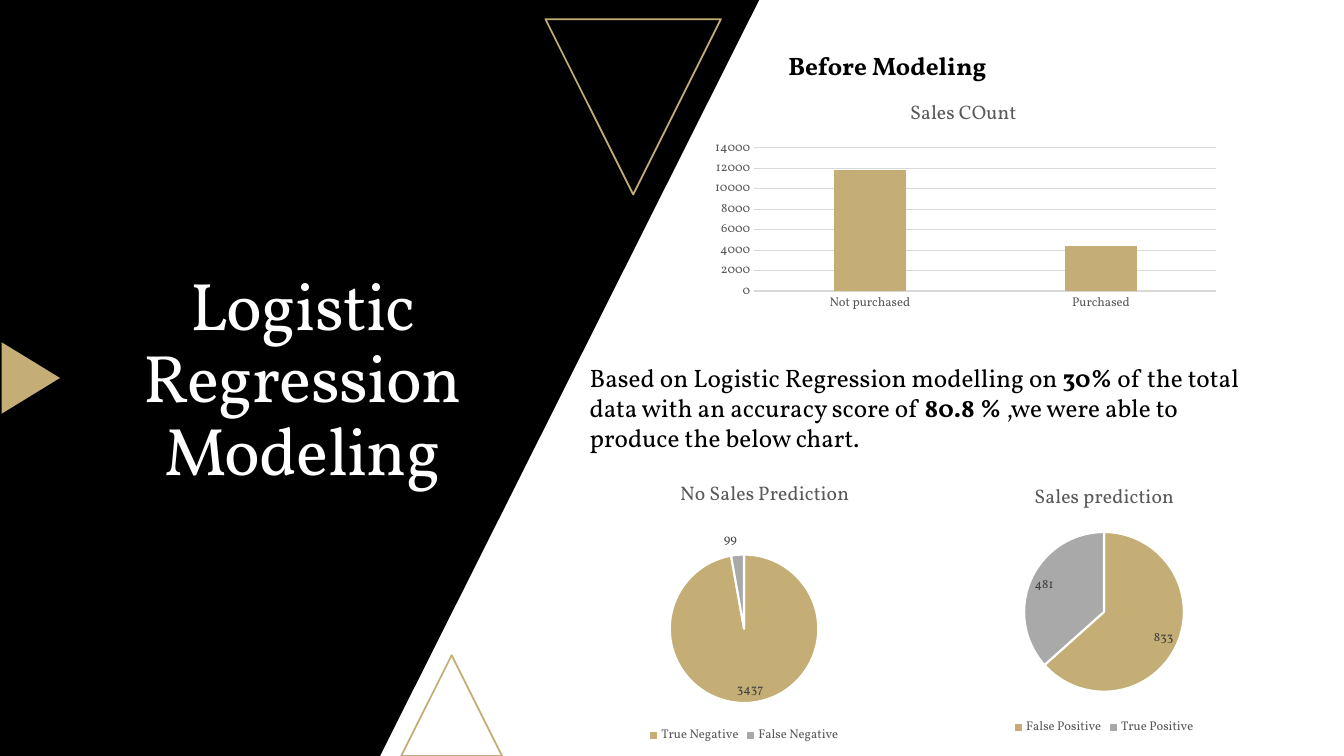
from lxml import etree
from pptx import Presentation
from pptx.chart.data import CategoryChartData
from pptx.dml.color import RGBColor
from pptx.enum.chart import XL_CHART_TYPE, XL_LABEL_POSITION, XL_LEGEND_POSITION, XL_TICK_MARK
from pptx.enum.shapes import MSO_SHAPE
from pptx.enum.text import MSO_ANCHOR, PP_ALIGN
from pptx.oxml.ns import qn
from pptx.util import Inches, Pt

FONT = "Vollkorn"
GOLD, GREY, BLACK, WHITE = "C4AE75", "A9A9A9", "000000", "FFFFFF"
LABEL, AXIS_TEXT, RULE = "404040", "595959", "D9D9D9"


def style(font, size, colour, bold=False):
    font.name, font.size, font.bold = FONT, Pt(size), bold
    font.color.rgb = RGBColor.from_string(colour)


def set_layout(parent, position, **values):
    """Place a chart part by shares of the chart's size."""
    for old in parent.findall(qn("c:layout")):
        parent.remove(old)
    layout = etree.Element(qn("c:layout"))
    manual = etree.SubElement(layout, qn("c:manualLayout"))
    for name, value in values.items():
        etree.SubElement(manual, qn("c:" + name)).set("val", str(value))
    parent.insert(position, layout)


deck = Presentation()
deck.slide_width, deck.slide_height = Inches(13.33), Inches(7.5)
page = deck.slides.add_slide(deck.slide_layouts[5])

# Black slanted panel, in hundredths of an inch
outline = page.shapes.build_freeform(0, 0, scale=Inches(0.01))
outline.add_line_segments([(753, 0), (377, 750), (0, 750)], close=True)
panel = outline.convert_to_shape()
panel.shadow.inherit = False
panel.fill.solid()
panel.fill.fore_color.rgb = RGBColor.from_string(BLACK)
panel.line.fill.background()

# Gold triangles: left, top, width, height, rotation, filled
for *bounds, rotation, filled in [
    (3.98, 6.5, 1, 1, 0, False),
    (5.41, 0.19, 1.74, 1.74, 180, False),
    (-0.05, 3.46, 0.71, 0.58, 90, True),
]:
    triangle = page.shapes.add_shape(MSO_SHAPE.ISOSCELES_TRIANGLE, *map(Inches, bounds))
    triangle.rotation = rotation
    triangle.shadow.inherit = False
    if filled:
        triangle.fill.solid()
        triangle.fill.fore_color.rgb = RGBColor.from_string(GOLD)
        triangle.line.fill.background()
    else:
        triangle.fill.background()
        triangle.line.color.rgb = RGBColor.from_string(GOLD)
        triangle.line.width = Pt(1.25)

# Title, brought in front of the panel
title = page.shapes.title
title.left, title.top, title.width, title.height = map(Inches, (0.6, 2.14, 4.8, 3.28))
title.text_frame.text = "Logistic Regression Modeling"
title.text_frame.word_wrap = True
title.text_frame.vertical_anchor = MSO_ANCHOR.MIDDLE
para = title.text_frame.paragraphs[0]
para.alignment, para.line_spacing = PP_ALIGN.CENTER, 0.9
style(para.font, 48, WHITE)
title.element.find(".//" + qn("a:defRPr")).set("spc", "-50")
title.element.find(".//" + qn("a:r")).get_or_add_rPr().set("spc", "-50")
title.element.getparent().append(title.element)

# Heading and finding, as (text, bold) spans
for bounds, spans in [
    ((7.72, 0.45, 5, 0.4), [("Before Modeling", True)]),
    ((5.75, 3.54, 6.68, 1.01), [
        ("Based on Logistic Regression modelling on ", False),
        ("30% ", True),
        ("of the total data with an accuracy score of ", False),
        ("80.8 % ", True),
        (",we were able to produce the below chart.", False),
    ]),
]:
    box = page.shapes.add_textbox(*map(Inches, bounds))
    box.text_frame.word_wrap = True
    para = box.text_frame.paragraphs[0]
    style(para.font, 18, BLACK)
    for text, bold in spans:
        span = para.add_run()
        span.text, span.font.bold = text, bold

# Charts: kind, bounds, heading, its left and top, plot area, values
PIE, COLUMN = XL_CHART_TYPE.PIE, XL_CHART_TYPE.COLUMN_CLUSTERED
for kind, bounds, heading, heading_at, plot_at, values in [
    (PIE, (9.3, 4.64, 3.3, 2.7), "Sales prediction", (0.28, 0.04),
     (0.26, 0.23, 0.48, 0.6), {"False Positive": 833, "True Positive": 481}),
    (PIE, (5.29, 4.64, 4.18, 2.78), "No Sales Prediction", (0.34, 0.03),
     (0.32, 0.31, 0.36, 0.53), {"True Negative": 3437, "False Negative": 99}),
    (COLUMN, (6.96, 0.85, 5.21, 2.29), "Sales COunt", (0.39, 0.04),
     (0.1, 0.27, 0.88, 0.62), {"Not purchased": 11800, "Purchased": 4400}),
]:
    data = CategoryChartData()
    data.categories = list(values)
    data.add_series("Series 1", list(values.values()))
    chart = page.shapes.add_chart(kind, *map(Inches, bounds), data).chart
    style(chart.font, 10, BLACK)
    chart.has_title = True
    chart.chart_title.text_frame.text = heading
    style(chart.chart_title.text_frame.paragraphs[0].font, 14, AXIS_TEXT)
    chart.chart_title.include_in_layout = False
    left, top = heading_at
    set_layout(chart.element.find(".//" + qn("c:title")), 1,
               xMode="edge", yMode="edge", x=left, y=top)
    left, top, width, height = plot_at
    set_layout(chart.element.find(".//" + qn("c:plotArea")), 0, layoutTarget="inner",
               xMode="edge", yMode="edge", x=left, y=top, w=width, h=height)
    plot = chart.plots[0]
    series = plot.series[0]
    chart.has_legend = kind == PIE

    if kind == PIE:
        chart.legend.position = XL_LEGEND_POSITION.BOTTOM
        chart.legend.include_in_layout = False
        style(chart.legend.font, 9, AXIS_TEXT)
        for index, colour in enumerate((GOLD, GREY)):
            part = series.points[index].format
            part.fill.solid()
            part.fill.fore_color.rgb = RGBColor.from_string(colour)
            part.line.color.rgb = RGBColor.from_string(WHITE)
            part.line.width = Pt(1.5)
        labels = series.data_labels
        labels.show_value = True
        labels.position = XL_LABEL_POSITION.BEST_FIT
        style(labels.font, 9, LABEL)
    else:
        plot.vary_by_categories = False
        plot.gap_width, plot.overlap = 219, -27
        series.format.fill.solid()
        series.format.fill.fore_color.rgb = RGBColor.from_string(GOLD)
        for axis in (chart.category_axis, chart.value_axis):
            axis.major_tick_mark = axis.minor_tick_mark = XL_TICK_MARK.NONE
            style(axis.tick_labels.font, 9, AXIS_TEXT)
        chart.value_axis.format.line.fill.background()
        chart.value_axis.minimum_scale, chart.value_axis.maximum_scale = 0, 14000
        chart.value_axis.major_unit = 2000
        for rule in (chart.category_axis.format.line, chart.value_axis.major_gridlines.format.line):
            rule.color.rgb = RGBColor.from_string(RULE)
            rule.width = Pt(0.75)

deck.save("out.pptx")
